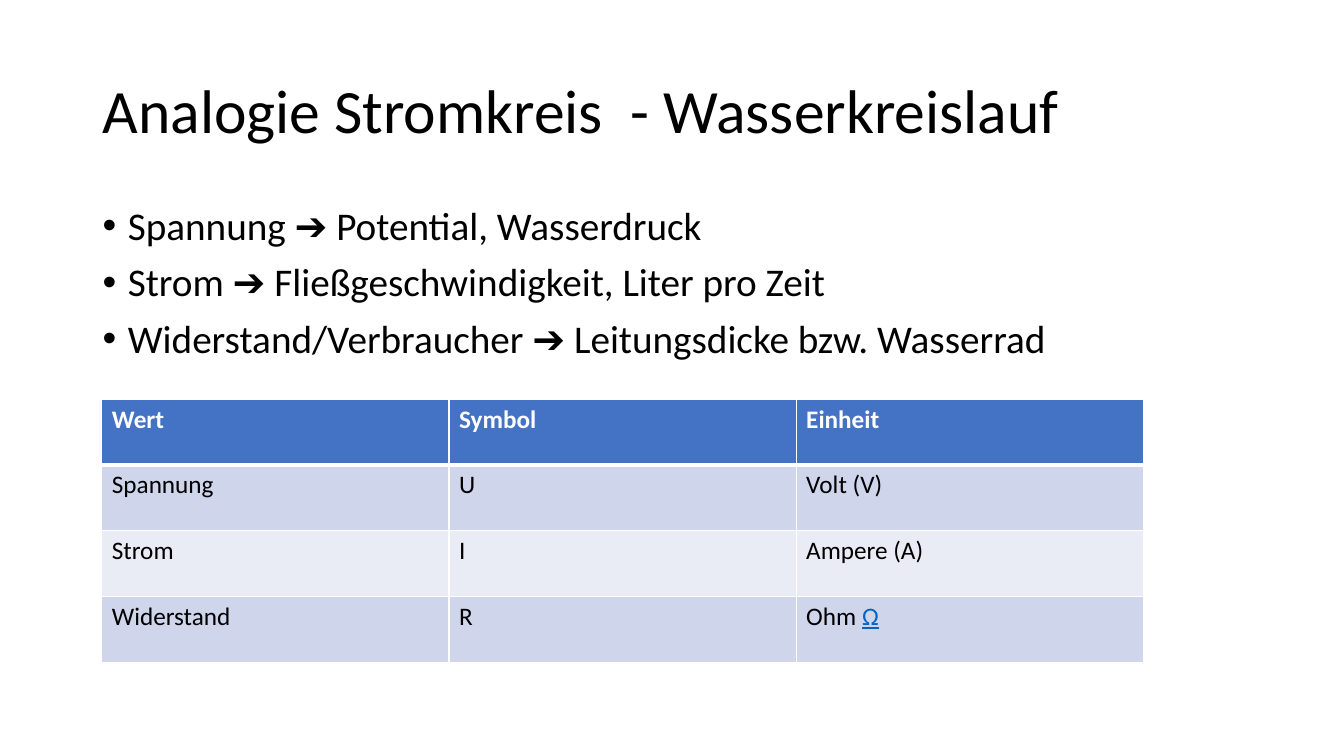
import pptx
import pptx.dml.color
import pptx.enum.text
import pptx.oxml.ns
import pptx.util
from lxml import etree

Inches, Pt = pptx.util.Inches, pptx.util.Pt
RGBColor = pptx.dml.color.RGBColor
BLACK = RGBColor(0x00, 0x00, 0x00)
WHITE = RGBColor(0xFF, 0xFF, 0xFF)
HEADER_BLUE = RGBColor(0x44, 0x72, 0xC4)
BAND_DARK = RGBColor(0xCF, 0xD5, 0xEA)
BAND_LIGHT = RGBColor(0xE9, 0xEB, 0xF5)
OHM_BLUE = RGBColor(0x05, 0x63, 0xC1)


def add_text(paragraph, text, size, color, **styles):
    """Append a Calibri run with the given size, colour and font styles."""
    run = paragraph.add_run()
    run.text = text
    run.font.color.rgb = color
    for name, value in {"name": "Calibri", "size": Pt(size), **styles}.items():
        setattr(run.font, name, value)


def add_border(cell, side, width):
    """Draw a white line of the given point width on one side of a cell."""
    line = etree.SubElement(cell._tc.get_or_add_tcPr(),
                            pptx.oxml.ns.qn("a:ln" + side), w=str(Pt(width)))
    fill = etree.SubElement(line, pptx.oxml.ns.qn("a:solidFill"))
    etree.SubElement(fill, pptx.oxml.ns.qn("a:srgbClr"), val=str(WHITE))


presentation = pptx.Presentation()
presentation.slide_width = Inches(13.33)
presentation.slide_height = Inches(7.5)
slide = presentation.slides.add_slide(presentation.slide_layouts[5])

# Heading
heading = slide.shapes.title
heading_place = {"left": 0.92, "top": 0.4, "width": 11.5, "height": 1.45}
for name, value in heading_place.items():
    setattr(heading, name, Inches(value))
heading.text_frame.vertical_anchor = pptx.enum.text.MSO_ANCHOR.MIDDLE
heading_line = heading.text_frame.paragraphs[0]
heading_line.alignment = pptx.enum.text.PP_ALIGN.LEFT
heading_line.line_spacing = 0.9
add_text(heading_line, "Analogie Stromkreis  - Wasserkreislauf", 44, BLACK)

# Analogies
analogies = slide.shapes.add_textbox(
    Inches(0.92), Inches(2), Inches(11.5), Inches(4.76)).text_frame
analogies.word_wrap = True
analogy_lines = [
    "Spannung ➔ Potential, Wasserdruck",
    "Strom ➔ Fließgeschwindigkeit, Liter pro Zeit",
    "Widerstand/Verbraucher ➔ Leitungsdicke bzw. Wasserrad",
]
for index, analogy in enumerate(analogy_lines):
    paragraph = analogies.add_paragraph() if index else analogies.paragraphs[0]
    paragraph.line_spacing = 0.9
    paragraph.space_before = Pt(10)
    add_text(paragraph, analogy, 28, BLACK)
    properties = paragraph._p.get_or_add_pPr()
    properties.set("marL", str(Inches(0.25)))
    properties.set("indent", str(Inches(-0.25)))
    etree.SubElement(properties, pptx.oxml.ns.qn("a:buFont"), typeface="Arial")
    etree.SubElement(properties, pptx.oxml.ns.qn("a:buChar"), char="•")

# Quantities with symbol and unit
quantities = [
    ("Wert", "Symbol", "Einheit"),
    ("Spannung", "U", "Volt (V)"),
    ("Strom", "I", "Ampere (A)"),
    ("Widerstand", "R", "Ohm "),
]
units = slide.shapes.add_table(
    len(quantities), len(quantities[0]),
    Inches(1.01), Inches(3.96), Inches(10.33), Inches(2.61)).table
for row, values in enumerate(quantities):
    is_header = row == 0
    band = HEADER_BLUE if is_header else BAND_DARK if row % 2 else BAND_LIGHT
    border_widths = {"L": 1, "R": 1, "T": 3 if row == 1 else 1,
                     "B": 3 if is_header else 1}
    for column, value in enumerate(values):
        cell = units.cell(row, column)
        for side, width in border_widths.items():
            add_border(cell, side, width)
        cell.fill.solid()
        cell.fill.fore_color.rgb = band
        add_text(cell.text_frame.paragraphs[0], value, 18,
                 WHITE if is_header else BLACK, bold=is_header)
ohm_line = units.cell(3, 2).text_frame.paragraphs[0]
add_text(ohm_line, "Ω", 18, OHM_BLUE, bold=False, underline=True)

presentation.save("out.pptx")
